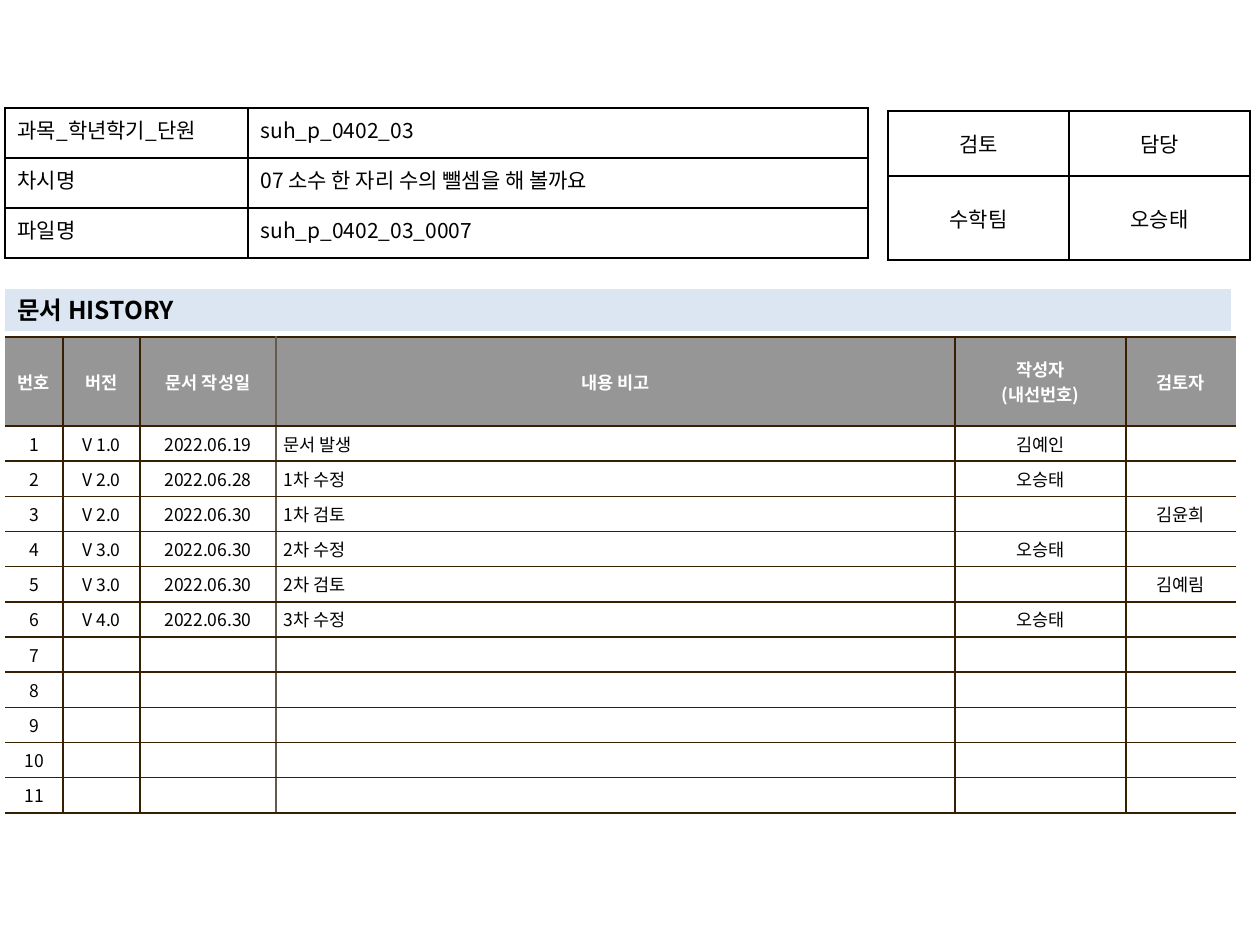
from pptx import Presentation
from pptx.dml.color import RGBColor
from pptx.enum.shapes import MSO_SHAPE
from pptx.enum.text import MSO_ANCHOR, PP_ALIGN
from pptx.oxml.xmlchemy import OxmlElement
from pptx.util import Emu, Pt

FONT = "Noto Sans CJK KR"
BLACK, WHITE, GRAY, BLUE = "000000", "FFFFFF", "969696", "DCE6F2"
BROWN, TAUPE = "362000", "645B4C"
HISTORY_HEADER = ["번호", "버전", "문서 작성일", "내용 비고", "작성자\n(내선번호)", "검토자"]
HISTORY = [
    ["V 1.0", "2022.06.19", "문서 발생", "김예인", ""],
    ["V 2.0", "2022.06.28", "1차 수정", "오승태", ""],
    ["V 2.0", "2022.06.30", "1차 검토", "", "김윤희"],
    ["V 3.0", "2022.06.30", "2차 수정", "오승태", ""],
    ["V 3.0", "2022.06.30", "2차 검토", "", "김예림"],
    ["V 4.0", "2022.06.30", "3차 수정", "오승태", ""],
]
HISTORY_ROWS = 11
NOTE_COLUMN = 3
LESSON = [
    ["과목_학년학기_단원", "suh_p_0402_03"],
    ["차시명", "07 소수 한 자리 수의 뺄셈을 해 볼까요"],
    ["파일명", "suh_p_0402_03_0007"],
]
REVIEW = [["검토", "담당"], ["수학팀", "오승태"]]


def px(length):
    """Convert px at 126 to the inch into EMU."""
    return Emu(round(length * 914400 / 126))


def color(value):
    """Turn a hex string into a colour."""
    return RGBColor.from_string(value)


def apply(target, values):
    """Set each attribute of the target from a dict."""
    for name, value in values.items():
        setattr(target, name, value)


def write_text(frame, text, size, ink=BLACK, bold=False, align=PP_ALIGN.LEFT, hanging=0):
    """Write one paragraph for each line of text."""
    for index, line in enumerate(text.split("\n")):
        paragraph = frame.add_paragraph() if index else frame.paragraphs[0]
        paragraph.alignment = align
        if hanging:
            properties = paragraph._p.get_or_add_pPr()
            properties.set("marL", str(px(hanging)))
            properties.set("indent", str(-px(hanging)))
        if line:
            run = paragraph.add_run()
            run.text = line
            apply(run.font, {"name": FONT, "size": Pt(size), "bold": bold})
            run.font.color.rgb = color(ink)
            east_asian = OxmlElement("a:ea")
            east_asian.set("typeface", FONT)
            run._r.get_or_add_rPr().append(east_asian)
        else:
            ending = OxmlElement("a:endParaRPr")
            ending.set("sz", str(size * 100))
            paragraph._p.append(ending)


def set_borders(cell, borders):
    """Draw the left, right, top and bottom borders; None hides one."""
    properties = cell._tc.get_or_add_tcPr()
    for index, (side, ink) in enumerate(zip("LRTB", borders)):
        line = OxmlElement(f"a:ln{side}")
        line.set("w", str(Pt(1)))
        fill = OxmlElement("a:solidFill" if ink else "a:noFill")
        if ink:
            value = OxmlElement("a:srgbClr")
            value.set("val", ink)
            fill.append(value)
        line.append(fill)
        properties.insert(index, line)


def add_table(slide, left, top, widths, heights):
    """Add a plain table with the given column widths and row heights."""
    frame = slide.shapes.add_table(
        len(heights), len(widths), px(left), px(top), px(sum(widths)), px(sum(heights)))
    table = frame.table
    apply(table, {"first_row": False, "horz_banding": False})
    for column, width in zip(table.columns, widths):
        column.width = px(width)
    for row, height in zip(table.rows, heights):
        row.height = px(height)
    return table


def add_info_table(slide, left, top, widths, heights, rows, aligns, anchor):
    """Add a black-ruled table without fill."""
    table = add_table(slide, left, top, widths, heights)
    for row, texts in enumerate(rows):
        for column, text in enumerate(texts):
            cell = table.cell(row, column)
            cell.vertical_anchor = anchor
            cell.fill.background()
            write_text(cell.text_frame, text, 12, align=aligns[column])
            set_borders(cell, [BLACK] * 4)


def add_history_table(slide):
    """Add the numbered version history with open outer sides."""
    widths = [58, 77, 136, 679, 171, 110]
    table = add_table(slide, 5, 337, widths, [89] + [31] * HISTORY_ROWS)
    entries = HISTORY + [[""] * 5] * (HISTORY_ROWS - len(HISTORY))
    rows = [HISTORY_HEADER] + [[str(n), *entry] for n, entry in enumerate(entries, 1)]
    verticals = [None, BROWN, BROWN, TAUPE, BROWN, BROWN, None]
    cell_format = {
        "margin_left": px(8), "margin_right": px(8), "margin_top": px(5),
        "margin_bottom": px(5), "vertical_anchor": MSO_ANCHOR.MIDDLE,
    }
    for row, texts in enumerate(rows):
        header = row == 0
        for column, text in enumerate(texts):
            cell = table.cell(row, column)
            apply(cell, cell_format)
            cell.fill.solid()
            cell.fill.fore_color.rgb = color(GRAY if header else WHITE)
            note = column == NOTE_COLUMN and not header
            write_text(cell.text_frame, text, 10, WHITE if header else BLACK, header,
                       PP_ALIGN.LEFT if note else PP_ALIGN.CENTER, 24 if note else 0)
            set_borders(cell, [*verticals[column:column + 2], BROWN, BROWN])


def add_heading(slide, text, left, top, width, height):
    """Add a filled heading bar."""
    shape = slide.shapes.add_shape(
        MSO_SHAPE.RECTANGLE, px(left), px(top), px(width), px(height))
    shape.shadow.inherit = False
    shape.fill.solid()
    shape.fill.fore_color.rgb = color(BLUE)
    shape.line.fill.background()
    apply(shape.text_frame, {"word_wrap": True, "vertical_anchor": MSO_ANCHOR.MIDDLE})
    write_text(shape.text_frame, text, 14, bold=True)


def main():
    """Build the document history slide."""
    presentation = Presentation()
    apply(presentation, {"slide_width": px(1260), "slide_height": px(945)})
    slide = presentation.slides.add_slide(presentation.slide_layouts[6])
    add_history_table(slide)
    add_info_table(slide, 888, 111, [181, 181], [65, 84], REVIEW,
                   [PP_ALIGN.CENTER] * 2, MSO_ANCHOR.MIDDLE)
    add_heading(slide, "문서 HISTORY", 5, 289, 1226, 42)
    add_info_table(slide, 5, 108, [243, 620], [50] * 3, LESSON,
                   [PP_ALIGN.JUSTIFY, PP_ALIGN.LEFT], MSO_ANCHOR.TOP)
    presentation.save("out.pptx")


if __name__ == "__main__":
    main()
